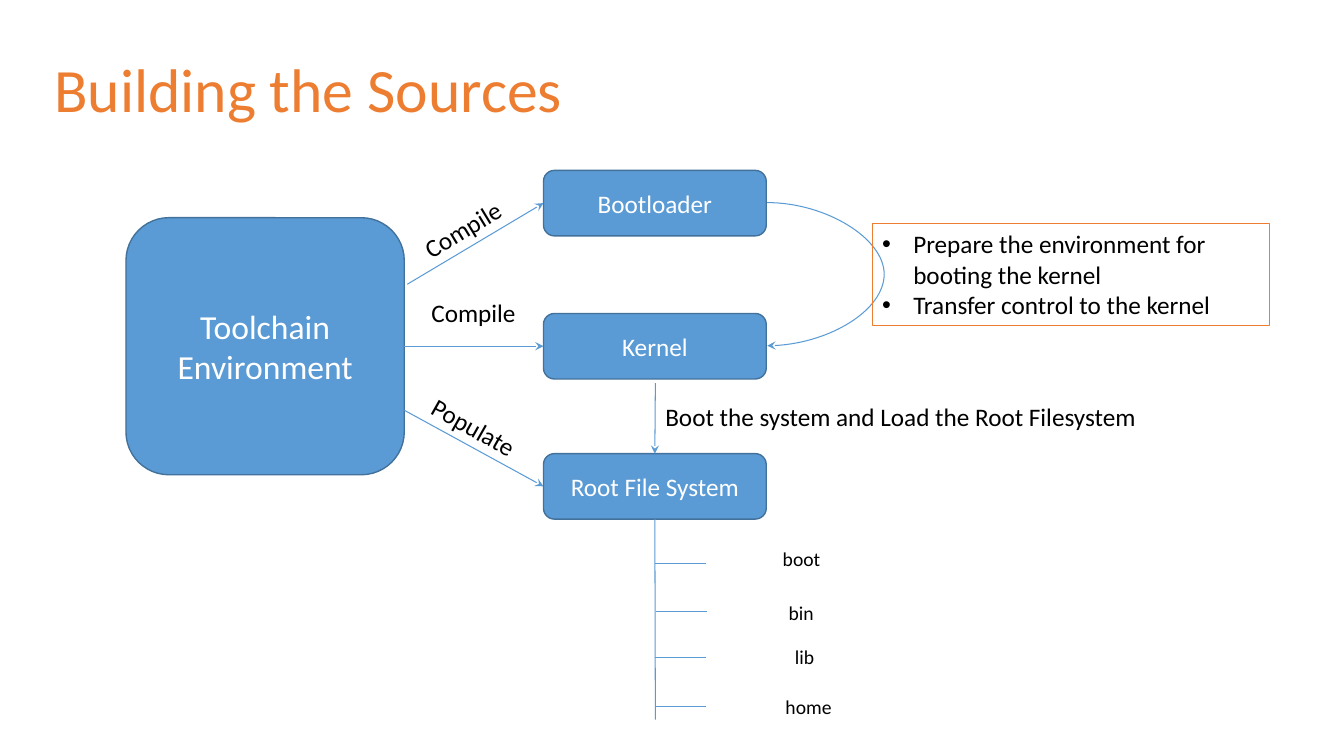
from dataclasses import dataclass

from lxml import etree
from pptx import Presentation, util as u
from pptx.dml.color import RGBColor
from pptx.enum import shapes, text
from pptx.oxml import ns

BLUE, EDGE, ORANGE = "5B9BD5", "42719B", "ED7D31"
BLACK, WHITE = "000000", "FFFFFF"
LEFT, CENTER = text.PP_ALIGN.LEFT, text.PP_ALIGN.CENTER
TOP, MIDDLE = text.MSO_ANCHOR.TOP, text.MSO_ANCHOR.MIDDLE


@dataclass
class Stage:
    """A rounded box of the build flow."""
    words: str
    left: float
    top: float
    width: float = 2.21
    height: float = 0.65
    size: int = 18


@dataclass
class Label:
    """Free text beside an arrow or a branch."""
    words: str
    left: float
    top: float
    width: float
    height: float = 0.4
    size: int = 18
    align: text.PP_ALIGN = LEFT
    rotation: float = 0


@dataclass
class Directory:
    """A branch of the root file system."""
    name: str
    branch_x: float
    branch_y: float
    left: float
    top: float
    width: float


def color(hex_value: str) -> RGBColor:
    return RGBColor.from_string(hex_value)


def box(left: float, top: float, width: float, height: float) -> list:
    return [u.Inches(value) for value in (left, top, width, height)]


def write(frame, lines: list, size: int, ink: str, align=LEFT, **frame_format) -> None:
    for name, value in ({"word_wrap": True, "vertical_anchor": TOP} | frame_format).items():
        setattr(frame, name, value)
    for index, line in enumerate(lines):
        paragraph = frame.paragraphs[0] if index == 0 else frame.add_paragraph()
        paragraph.alignment = align
        run = paragraph.add_run()
        run.text = line
        for name, value in {"name": "Calibri", "size": u.Pt(size)}.items():
            setattr(run.font, name, value)
        run.font.color.rgb = color(ink)


def outline(shape, hex_value: str, width: float) -> None:
    shape.line.color.rgb = color(hex_value)
    shape.line.width = u.Pt(width)


def draw_stage(slide, stage: Stage):
    shape = slide.shapes.add_shape(
        shapes.MSO_SHAPE.ROUNDED_RECTANGLE,
        *box(stage.left, stage.top, stage.width, stage.height))
    shape.shadow.inherit = False
    shape.fill.solid()
    shape.fill.fore_color.rgb = color(BLUE)
    outline(shape, EDGE, 1)
    write(shape.text_frame, [stage.words], stage.size, WHITE, CENTER, vertical_anchor=MIDDLE)
    return shape


def draw_label(slide, label: Label) -> None:
    shape = slide.shapes.add_textbox(*box(label.left, label.top, label.width, label.height))
    shape.rotation = label.rotation
    write(shape.text_frame, [label.words], label.size, BLACK, label.align,
          word_wrap=False, auto_size=text.MSO_AUTO_SIZE.SHAPE_TO_FIT_TEXT)


def draw_line(slide, start: tuple, end: tuple, arrow: bool = False,
              kind=shapes.MSO_CONNECTOR.STRAIGHT):
    line = slide.shapes.add_connector(kind, *box(*start, *end))
    outline(line, BLUE, 0.75)
    properties = line.element.spPr
    if arrow:
        etree.SubElement(line.line._get_or_add_ln(), ns.qn("a:tailEnd"), type="stealth")
    etree.SubElement(properties, ns.qn("a:effectLst"))
    return line


def bend(line, reach: float) -> None:
    """Bulge a curved connector to the right of its nearly level ends."""
    line.width = u.Emu(720)
    guides = line.element.spPr.find(ns.qn("a:prstGeom")).get_or_add_avLst()
    amount = round(u.Inches(reach) / line.width * 100000)
    etree.SubElement(guides, ns.qn("a:gd"), name="adj1", fmla=f"val {amount}")


def add_bullets(frame) -> None:
    for paragraph in frame.paragraphs:
        properties = paragraph._p.get_or_add_pPr()
        indent = u.Inches(0.31)
        properties.set("marL", str(indent))
        properties.set("indent", str(-indent))
        ink = etree.SubElement(properties, ns.qn("a:buClr"))
        etree.SubElement(ink, ns.qn("a:srgbClr"), val=BLACK)
        etree.SubElement(properties, ns.qn("a:buFont"), typeface="Arial")
        etree.SubElement(properties, ns.qn("a:buChar"), char="•")


LABELS = [
    Label("Compile", 4.07, 2.07, 1.05, rotation=328.7),
    Label("Compile", 4.18, 2.9, 1.05),
    Label("Populate", 4.15, 4.04, 1.11, rotation=29.6),
    Label("Boot the system and Load the Root Filesystem", 6.5, 3.93, 4.92),
]
DIRECTORIES = [
    Directory("boot", 6.5, 5.59, 7.66, 5.38, 0.58),
    Directory("bin", 6.51, 6.07, 7.72, 5.91, 0.45),
    Directory("lib", 6.5, 6.52, 7.78, 6.35, 0.4),
    Directory("home", 6.5, 7.01, 7.69, 6.84, 0.66),
]
DUTIES = ["Prepare the environment for booting the kernel", "Transfer control to the kernel"]


def main() -> None:
    deck = Presentation()
    deck.slide_width, deck.slide_height = u.Inches(13.33), u.Inches(7.5)
    slide = deck.slides.add_slide(deck.slide_layouts[6])

    # Title
    title = slide.shapes.add_textbox(*box(0.44, 0.19, 12.46, 1.45)).text_frame
    write(title, ["Building the Sources"], 44, ORANGE, vertical_anchor=MIDDLE)
    title.paragraphs[0].line_spacing = 0.9

    # Build stages
    toolchain = draw_stage(slide, Stage("Toolchain Environment", 1.25, 2.16, 2.76, 2.55, 24))
    bootloader = draw_stage(slide, Stage("Bootloader", 5.39, 1.69))
    kernel = draw_stage(slide, Stage("Kernel", 5.39, 3.11))
    root_files = draw_stage(slide, Stage("Root File System", 5.39, 4.5))

    # Arrows from the toolchain
    draw_line(slide, (4.04, 2.82), (5.39, 2.01), True).end_connect(bootloader, 1)
    compile_kernel = draw_line(slide, (4.01, 3.44), (5.39, 3.43), True)
    compile_kernel.begin_connect(toolchain, 3)
    compile_kernel.end_connect(kernel, 1)
    draw_line(slide, (4.01, 4.07), (5.39, 4.82), True).end_connect(root_files, 1)

    # Hand-over from bootloader to kernel
    hand_over = draw_line(slide, (7.61, 2.01), (7.61, 3.43), True, shapes.MSO_CONNECTOR.CURVE)
    bend(hand_over, 1.16)
    duties = slide.shapes.add_textbox(*box(8.65, 2.22, 3.94, 1.01))
    outline(duties, ORANGE, 0.75)
    write(duties.text_frame, DUTIES, 18, BLACK, auto_size=text.MSO_AUTO_SIZE.SHAPE_TO_FIT_TEXT)
    add_bullets(duties.text_frame)

    # Loading the root file system
    draw_line(slide, (6.5, 3.8), (6.5, 4.5), True).end_connect(root_files, 0)
    for label in LABELS:
        draw_label(slide, label)

    # Directory tree
    draw_line(slide, (6.5, 5.15), (6.5, 7.14)).begin_connect(root_files, 2)
    for entry in DIRECTORIES:
        draw_line(slide, (entry.branch_x, entry.branch_y), (entry.branch_x + 0.5, entry.branch_y))
        draw_label(slide, Label(entry.name, entry.left, entry.top, entry.width, 0.34, 14, CENTER))

    deck.save("out.pptx")


if __name__ == "__main__":
    main()
